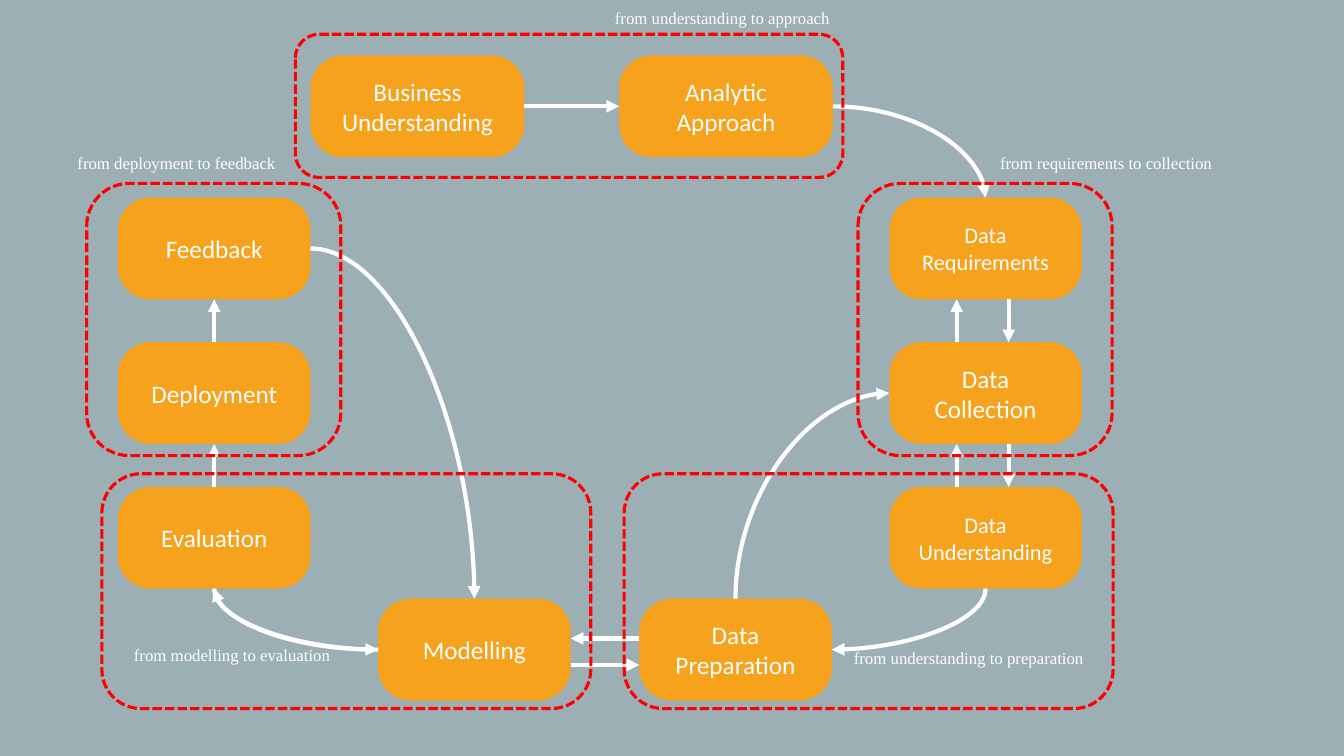
from pptx import Presentation
from pptx.dml.color import RGBColor
from pptx.enum.dml import MSO_LINE
from pptx.enum.shapes import MSO_CONNECTOR, MSO_SHAPE
from pptx.enum.text import MSO_ANCHOR, MSO_AUTO_SIZE, PP_ALIGN
from pptx.oxml.ns import qn
from pptx.util import Inches, Pt
from lxml.etree import SubElement

SLATE = RGBColor(0x9B, 0xAF, 0xB5)
ORANGE = RGBColor(0xF6, 0xA2, 0x1D)
RED = RGBColor(0xFF, 0x00, 0x00)
WHITE = RGBColor(0xFF, 0xFF, 0xFF)

WIDE, NARROW, HEIGHT = 2.12, 1.91, 1.01
LEFT, RIGHT = 1.17, 8.82
TOP_ROW, BOTTOM_ROW = 0.55, 5.94
UPPER, MIDDLE, LOWER = [1.96 + 1.435 * step for step in range(3)]

STAGES = [
    ("Business Understanding", 3.08, TOP_ROW, WIDE, 18),
    ("Analytic Approach", 6.14, TOP_ROW, WIDE, 18),
    ("Data Requirements", RIGHT, UPPER, NARROW, 16),
    ("Data Collection", RIGHT, MIDDLE, NARROW, 18),
    ("Data Understanding", RIGHT, LOWER, NARROW, 16),
    ("Data Preparation", 6.34, BOTTOM_ROW, NARROW, 18),
    ("Modelling", 3.75, BOTTOM_ROW, NARROW, 18),
    ("Evaluation", LEFT, LOWER, NARROW, 18),
    ("Deployment", LEFT, MIDDLE, NARROW, 18),
    ("Feedback", LEFT, UPPER, NARROW, 18),
]

TOP, LEFT_SIDE, BOTTOM, RIGHT_SIDE = (0.5, 0), (0, 0.5), (0.5, 1), (1, 0.5)
SITES = [TOP, LEFT_SIDE, BOTTOM, RIGHT_SIDE]
UP_LANE, DOWN_LANE = 0.35, 0.62
BACK_LANE, FORTH_LANE = 0.39, 0.65

STRAIGHT_ARROWS = [
    ("Business Understanding", RIGHT_SIDE, "Analytic Approach", LEFT_SIDE),
    ("Data Collection", (UP_LANE, 0), "Data Requirements", (UP_LANE, 1)),
    ("Data Requirements", (DOWN_LANE, 1), "Data Collection", (DOWN_LANE, 0)),
    ("Data Understanding", (UP_LANE, 0), "Data Collection", (UP_LANE, 1)),
    ("Data Collection", (DOWN_LANE, 1), "Data Understanding", (DOWN_LANE, 0)),
    ("Data Preparation", (0, BACK_LANE), "Modelling", (1, BACK_LANE)),
    ("Modelling", (1, FORTH_LANE), "Data Preparation", (0, FORTH_LANE)),
    ("Evaluation", TOP, "Deployment", BOTTOM),
    ("Deployment", TOP, "Feedback", BOTTOM),
]

CURVED_ARROWS = [
    ("Analytic Approach", RIGHT_SIDE, "Data Requirements", TOP, "tailEnd"),
    ("Data Preparation", RIGHT_SIDE, "Data Understanding", BOTTOM, "headEnd"),
    ("Data Collection", LEFT_SIDE, "Data Preparation", TOP, "headEnd"),
    ("Modelling", LEFT_SIDE, "Evaluation", BOTTOM, "tailEnd"),
    ("Modelling", LEFT_SIDE, "Evaluation", BOTTOM, "headEnd"),
    ("Feedback", RIGHT_SIDE, "Modelling", TOP, "tailEnd"),
]

PHASES = [
    ("from understanding to approach", (2.93, 0.34, 5.43, 1.42), (6, 0.03, 2.41)),
    ("from requirements to collection", (8.51, 1.82, 2.52, 2.7), (9.82, 1.47, 2.34)),
    ("from understanding to preparation", (6.19, 4.7, 4.85, 2.33), (8.37, 6.38, 2.51)),
    ("from modelling to evaluation", (1.01, 4.7, 4.85, 2.33), (1.23, 6.35, 2.18)),
    ("from deployment to feedback", (0.86, 1.82, 2.52, 2.7), (0.67, 1.47, 2.2)),
]


def apply(target, values):
    for name, value in values.items():
        setattr(target, name, value)


def write(box, text, size, font, frame_format, alignment):
    apply(box.text_frame, frame_format)
    para = box.text_frame.paragraphs[0]
    para.alignment = alignment
    span = para.add_run()
    span.text = text
    apply(span.font, {"size": Pt(size), "name": font})
    span.font.color.rgb = WHITE


def add_round_box(shapes, left, top, width, height):
    box = shapes.add_shape(MSO_SHAPE.ROUNDED_RECTANGLE,
                           *map(Inches, (left, top, width, height)))
    box.shadow.inherit = False
    return box


def add_stage(shapes, text, left, top, width, size):
    box = add_round_box(shapes, left, top, width, HEIGHT)
    box.adjustments[0] = 0.318
    box.fill.solid()
    box.fill.fore_color.rgb = ORANGE
    box.line.fill.background()
    write(box, text, size, "Calibri",
          {"word_wrap": True, "vertical_anchor": MSO_ANCHOR.MIDDLE}, PP_ALIGN.CENTER)
    return box


def point_on(box, share):
    return (round(box.left + box.width * share[0]),
            round(box.top + box.height * share[1]))


def add_arrow(shapes, kind, start, start_share, finish, finish_share, arrow_end="tailEnd"):
    arrow = shapes.add_connector(kind, *point_on(start, start_share),
                                 *point_on(finish, finish_share))
    if start_share in SITES:
        arrow.begin_connect(start, SITES.index(start_share))
        arrow.end_connect(finish, SITES.index(finish_share))
    arrow.line.color.rgb = WHITE
    arrow.line.width = Pt(3)
    properties = arrow._element.spPr
    if kind == MSO_CONNECTOR.CURVE:
        properties.find(qn("a:prstGeom")).set("prst", "curvedConnector2")
    SubElement(properties.find(qn("a:ln")), qn("a:" + arrow_end), type="triangle")
    SubElement(properties, qn("a:effectLst"))


def add_phase(shapes, text, frame_place, label_place):
    frame = add_round_box(shapes, *frame_place)
    frame.fill.background()
    frame.line.color.rgb = RED
    apply(frame.line, {"width": Pt(2.25), "dash_style": MSO_LINE.SQUARE_DOT})
    label = shapes.add_textbox(*map(Inches, (*label_place, 0.3)))
    write(label, text, 12, "Times New Roman",
          {"word_wrap": False, "auto_size": MSO_AUTO_SIZE.SHAPE_TO_FIT_TEXT}, PP_ALIGN.LEFT)


deck = Presentation()
apply(deck, {"slide_width": Inches(13.33), "slide_height": Inches(7.5)})
slide = deck.slides.add_slide(deck.slide_layouts[6])
slide.background.fill.solid()
slide.background.fill.fore_color.rgb = SLATE

cycle = slide.shapes.add_group_shape().shapes
boxes = {stage[0]: add_stage(cycle, *stage) for stage in STAGES}
for kind, arrows in ((MSO_CONNECTOR.STRAIGHT, STRAIGHT_ARROWS),
                     (MSO_CONNECTOR.CURVE, CURVED_ARROWS)):
    for start, start_share, finish, finish_share, *arrow_end in arrows:
        add_arrow(cycle, kind, boxes[start], start_share,
                  boxes[finish], finish_share, *arrow_end)

for phase in PHASES:
    add_phase(slide.shapes, *phase)

deck.save("out.pptx")
